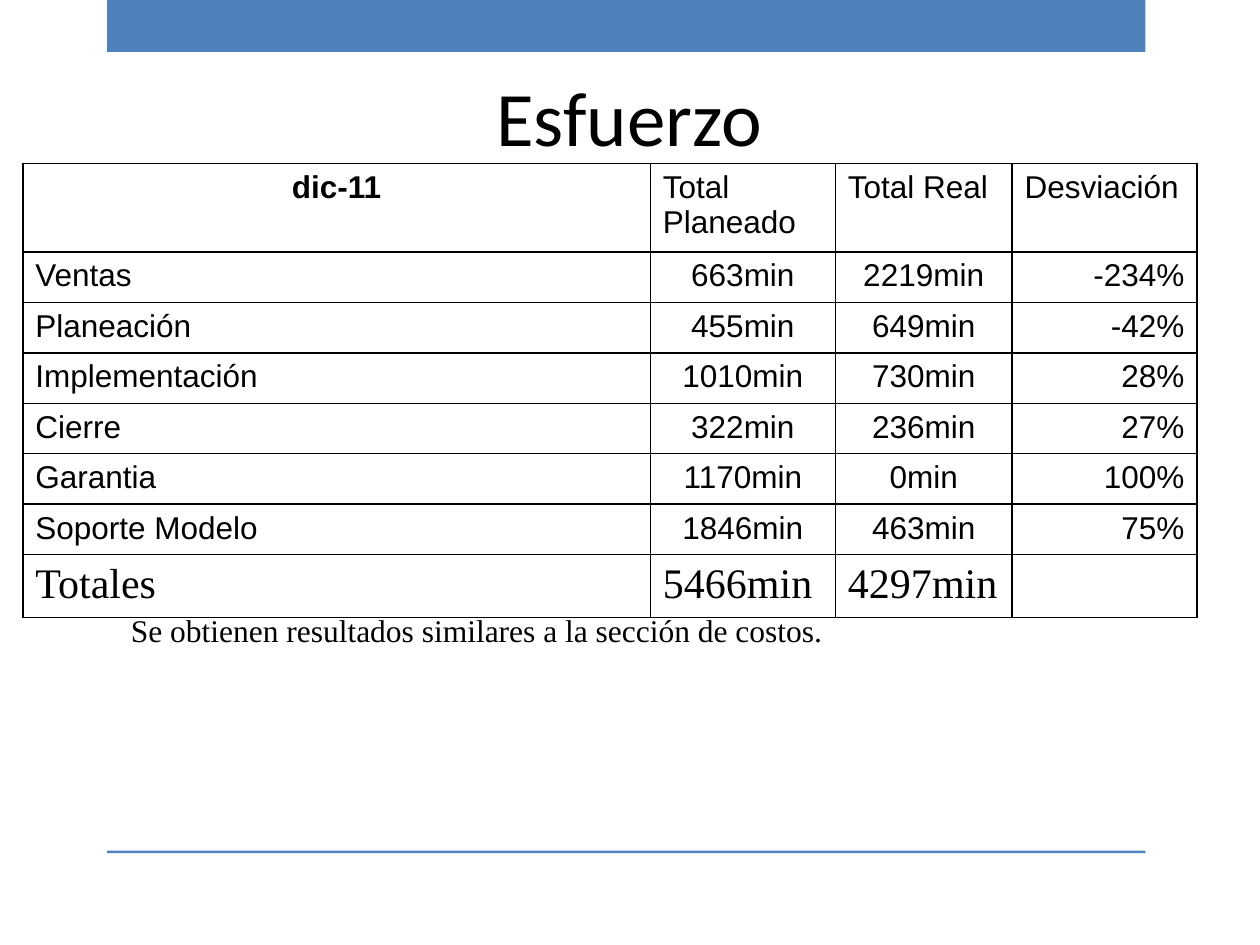
from lxml.etree import SubElement
from pptx import Presentation
from pptx.dml.color import RGBColor
from pptx.enum.shapes import MSO_SHAPE as Shape
from pptx.enum.text import MSO_ANCHOR as Anchor, PP_ALIGN as Align
from pptx.oxml.ns import qn
from pptx.util import Cm, Pt

BLUE = RGBColor(0x4F, 0x81, 0xBD)
BLACK = RGBColor(0, 0, 0)
SANS, SERIF = "Arial", "Times New Roman"

# Content
TITLE = "Esfuerzo"
NOTE = "Se obtienen resultados similares a la sección de costos."
HEAD = ("dic-11", "Total Planeado", "Total Real", "Desviación")
BODY = [
    ("Ventas", "663min", "2219min", "-234%"),
    ("Planeación", "455min", "649min", "-42%"),
    ("Implementación", "1010min", "730min", "28%"),
    ("Cierre", "322min", "236min", "27%"),
    ("Garantia", "1170min", "0min", "100%"),
    ("Soporte Modelo", "1846min", "463min", "75%"),
]
TOTAL = ("Totales", "5466min", "4297min", "")
ROWS = [HEAD, *BODY, TOTAL]

# Alignment by kind of row
HEAD_AL = (Align.CENTER, Align.LEFT, Align.LEFT, Align.LEFT)
BODY_AL = (Align.LEFT, Align.CENTER, Align.CENTER, Align.RIGHT)
TOTAL_AL = (Align.LEFT,) * 4
ALIGNS = [HEAD_AL, *[BODY_AL] * len(BODY), TOTAL_AL]

# Measures in cm
WIDTHS = (12.65, 3.73, 3.56, 3.73)
HEAD_H, ROW_H = 1.68, 0.97
BARS = [(0, 1.05), (17.15, 0.05)]  # top, height


def style(par, face, size, align=Align.LEFT, bold=False):
    par.alignment = align
    font = par.font
    font.name, font.size, font.bold = face, Pt(size), bold
    font.color.rgb = BLACK


def border(cell):
    props = cell._tc.get_or_add_tcPr()
    for i, side in enumerate(("lnL", "lnR", "lnT", "lnB")):
        line = SubElement(props, qn("a:" + side), w=str(Pt(1)))
        fill = SubElement(line, qn("a:solidFill"))
        SubElement(fill, qn("a:srgbClr"), val=str(BLACK))
        props.insert(i, line)  # borders come before the fill


deck = Presentation()
deck.slide_width, deck.slide_height = Cm(25.4), Cm(19.05)
slide = deck.slides.add_slide(deck.slide_layouts[5])
shapes = slide.shapes

# Title
title = shapes.title
title.left, title.top, title.width, title.height = Cm(1.27), Cm(0.76), Cm(22.83), Cm(3.15)
title.text_frame.text = TITLE
title.text_frame.vertical_anchor = Anchor.MIDDLE
style(title.text_frame.paragraphs[0], "Calibri", 44, Align.CENTER)

# Top band and bottom rule
for top, height in BARS:
    bar = shapes.add_shape(Shape.RECTANGLE, Cm(2.16), Cm(top), Cm(20.93), Cm(height))
    bar.shadow.inherit = False
    bar.fill.solid()
    bar.fill.fore_color.rgb = BLUE
    bar.line.fill.background()

# Note under the table
note = shapes.add_textbox(Cm(2.39), Cm(12.19), Cm(16.59), Cm(4.8)).text_frame
note.word_wrap = True
note.text = NOTE
style(note.paragraphs[0], SERIF, 18)

# Effort table
high = HEAD_H + ROW_H * (len(ROWS) - 1)
table = shapes.add_table(len(ROWS), len(HEAD), Cm(0.46), Cm(3.3),
                         Cm(sum(WIDTHS)), Cm(high)).table
table.first_row = table.horz_banding = False
for col, width in zip(table.columns, WIDTHS):
    col.width = Cm(width)
for r, (row, aligns) in enumerate(zip(ROWS, ALIGNS)):
    table.rows[r].height = Cm(ROW_H if r else HEAD_H)
    face, size = (SERIF, 24) if row is TOTAL else (SANS, 18)
    for c, (text, align) in enumerate(zip(row, aligns)):
        cell = table.cell(r, c)
        cell.text = text
        cell.fill.background()
        border(cell)
        style(cell.text_frame.paragraphs[0], face, size, align, r == c == 0)

deck.save("out.pptx")
